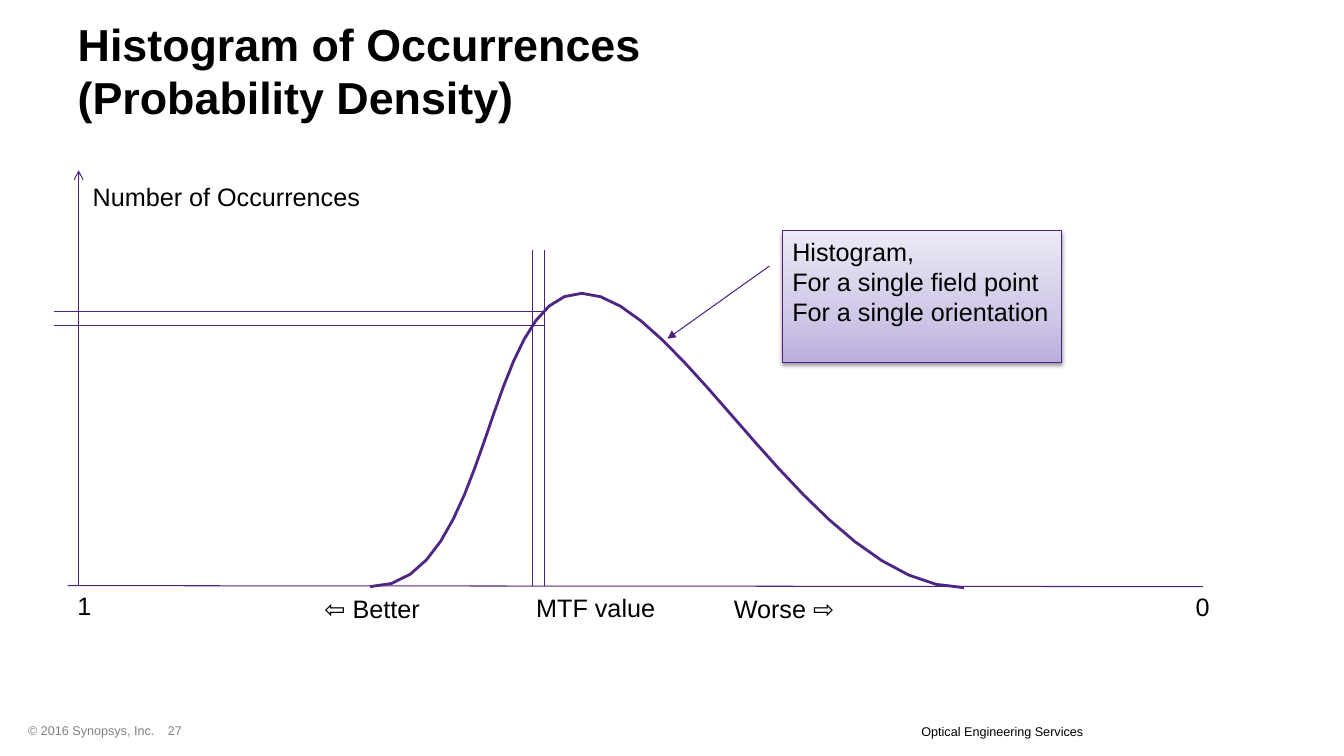
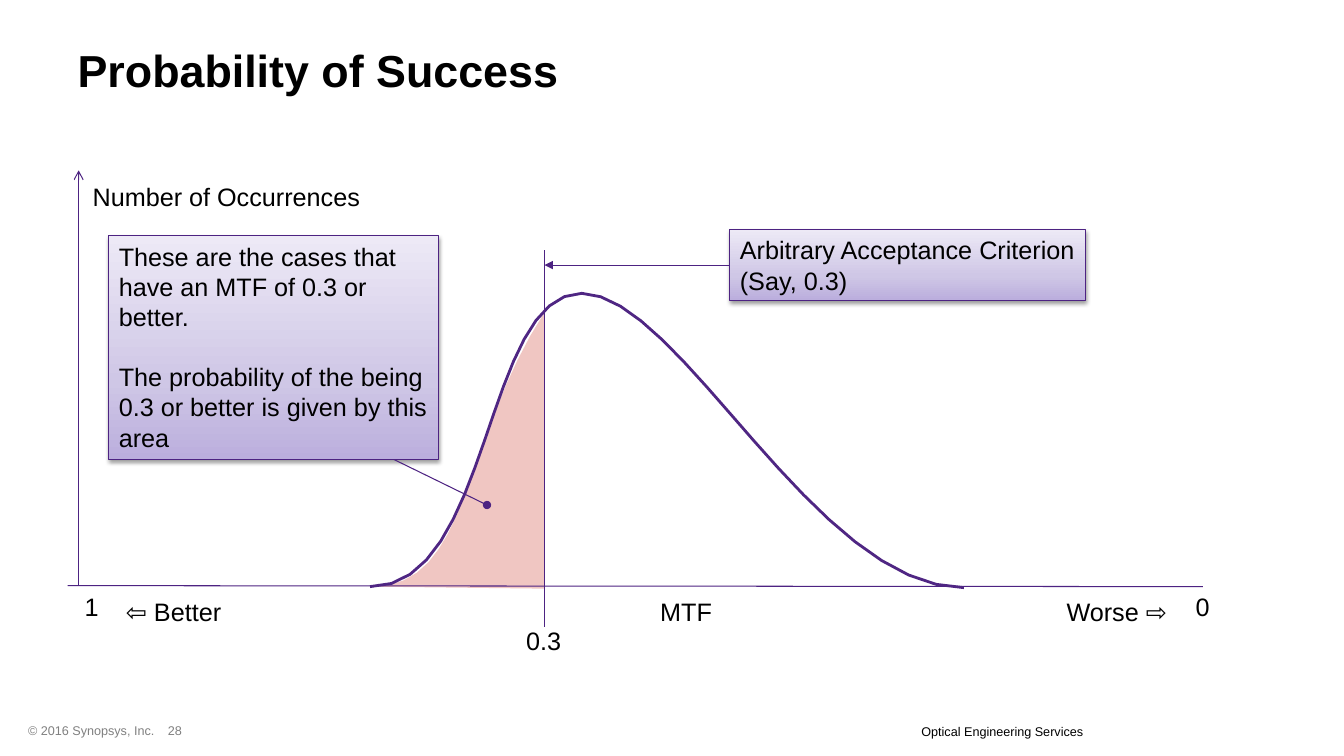
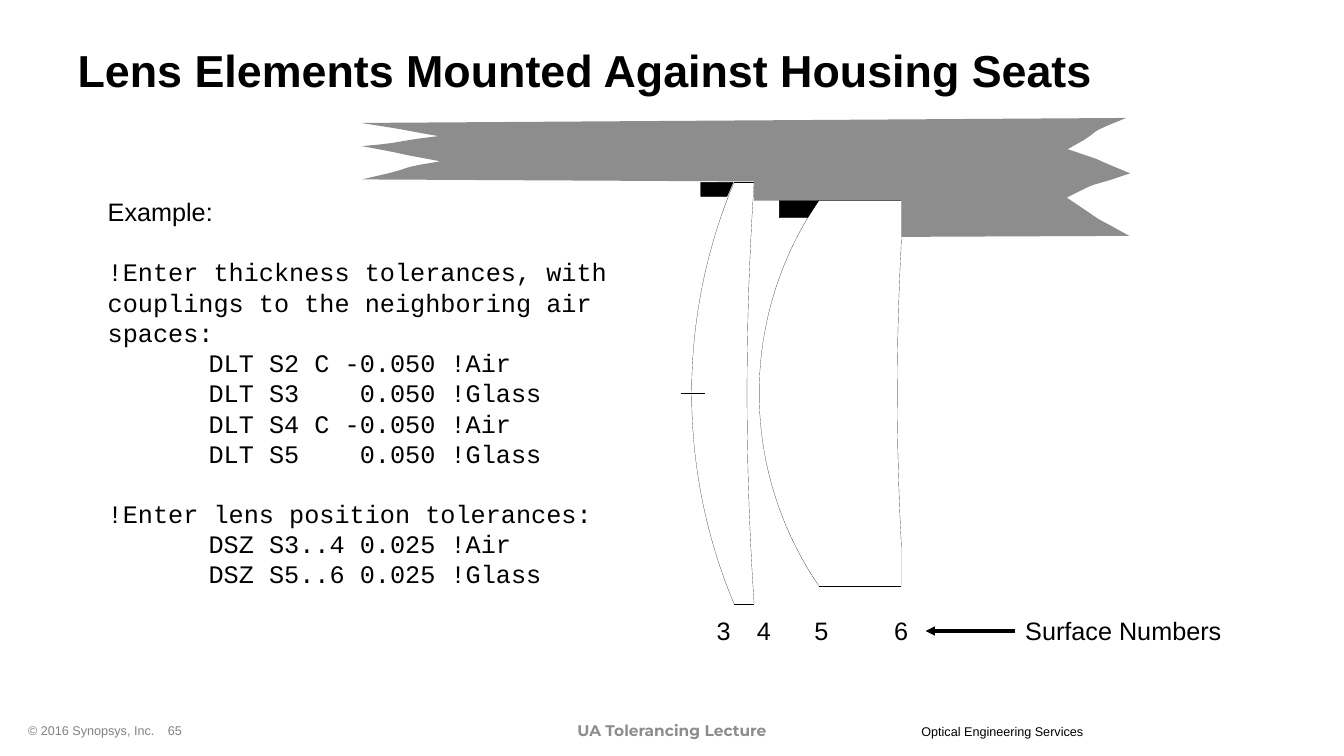
from dataclasses import dataclass
from math import sqrt

from lxml import etree
from pptx import Presentation, util as u
from pptx.dml.color import RGBColor
from pptx.enum import shapes as kinds, text as t
from pptx.oxml import parse_xml
from pptx.oxml.ns import nsdecls, qn


@dataclass(frozen=True)
class Theme:
    font: str = "Arial"
    code_font: str = "Courier New"
    lecture_font: str = "Montserrat"
    ink: str = "000000"
    footer_grey: str = "808080"
    lecture_grey: str = "8C8C8C"
    housing: str = "8D8D8D"
    axis: str = "4D2382"
    curve: str = "4F2683"
    success: str = "C41300"
    success_alpha: int = 24
    gradient: tuple = ((0, "BBAEDD"), (35, "CFC7E6"), (100, "EDE9F6"))
    title_size: float = 32
    body_size: float = 18
    lecture_size: float = 11
    footer_size: float = 9
    blank_line: float = 21.4
    thin: float = 0.75
    hairline: float = 0.1


THEME = Theme()


@dataclass(frozen=True)
class Box:
    left: float
    top: float
    width: float
    height: float

    def inside(self, x, y, width, height):
        return Box(self.left + x, self.top + y, width, height)

    def point(self, x, y):
        return u.Inches(self.left + x), u.Inches(self.top + y)

    def emu(self):
        return [u.Inches(v) for v in (self.left, self.top, self.width, self.height)]


PLOT = Box(0.67, 1.69, 11.26, 4.12)
ASSEMBLY = Box(3.58, 1.17, 8.77, 5.28)
CODE = Box(0.97, 1.9, 5.62, 4.04)

# Outlines: a pair is a straight step, six numbers are a Bezier step
HISTOGRAM = [(3, 4.13), (4.21, 4.14, 4.12, 1.22, 5.1, 1.22),
             (6.08, 1.23, 7.41, 4.14, 8.89, 4.14)]
SUCCESS_AREA = [(3.01, 4.13), (4, 4.14, 3.9, 2.68, 4.73, 1.41), (4.73, 4.15)]
HOUSING = [
    (5.36, 0.82), (5.36, 1.18), (7.62, 1.17),
    (7.14, 0.9, 7.51, 1.13, 7, 0.79), (7.4, 0.59, 7.14, 0.72, 7.63, 0.55),
    (7.09, 0.33, 7.51, 0.48, 7.01, 0.31), (7.44, 0.08, 7.09, 0.2, 7.59, 0),
    (0, 0.05), (0.59, 0.14, 0.3, 0.1, 0.77, 0.18),
    (0.27, 0.24, 0.47, 0.24, 0.01, 0.28), (0.61, 0.39, 0.18, 0.32, 0.79, 0.43),
    (0.24, 0.52, 0.69, 0.46, 0.01, 0.61), (3.9, 0.63), (3.9, 0.82)]
SEATS = [[(4.15, 0.82), (4.54, 0.82), (4.43, 0.99), (4.15, 0.99)],
         [(3.37, 0.64), (3.69, 0.64), (3.63, 0.78), (3.37, 0.78)]]


# Shared drawing helpers
def style(paragraph, size=THEME.body_size, color=THEME.ink, font=THEME.font, bold=False):
    for run in paragraph.runs:
        run.font.size, run.font.name, run.font.bold = u.Pt(size), font, bold
        run.font.color.rgb = RGBColor.from_string(color)


def label(slide, box, words, align=t.PP_ALIGN.LEFT, **look):
    shape = slide.shapes.add_textbox(*box.emu())
    shape.text_frame.word_wrap = True
    shape.text_frame.text = words
    paragraph = shape.text_frame.paragraphs[0]
    paragraph.alignment = align
    style(paragraph, **look)
    return shape


def labels(slide, box, entries):
    for words, x, y in entries:
        label(slide, box.inside(x, y, 1.5, 0.4), words)


def line(slide, box, start, end, color=THEME.axis, width=THEME.thin, arrow=None):
    connector = slide.shapes.add_connector(
        kinds.MSO_CONNECTOR.STRAIGHT, *box.point(*start), *box.point(*end))
    connector.line.color.rgb = RGBColor.from_string(color)
    connector.line.width = u.Pt(width)
    properties = connector.element.spPr
    if arrow:
        etree.SubElement(properties.find(qn("a:ln")), qn("a:tailEnd"), type=arrow)
    etree.SubElement(properties, qn("a:effectLst"))


def flatten(outline, steps):
    points = [outline[0]]
    for step in outline[1:]:
        if len(step) == 2:
            points.append(step)
            continue
        controls = (points[-1], step[:2], step[2:4], step[4:])
        for i in range(1, steps + 1):
            s = i / steps
            weights = ((1 - s) ** 3, 3 * s * (1 - s) ** 2, 3 * s * s * (1 - s), s ** 3)
            points.append(tuple(sum(w * c[axis] for w, c in zip(weights, controls))
                                for axis in (0, 1)))
    return points


def free(slide, box, outline, fill=None, alpha=None, color=None, width=THEME.hairline,
         close=True, steps=16):
    points = [box.point(*point) for point in flatten(outline, steps)]
    builder = slide.shapes.build_freeform(*points[0])
    builder.add_line_segments(points[1:], close=close)
    shape = builder.convert_to_shape()
    shape.shadow.inherit = False
    if fill:
        shape.fill.solid()
        shape.fill.fore_color.rgb = RGBColor.from_string(fill)
    else:
        shape.fill.background()
    if alpha:
        tint = shape.element.spPr.find(qn("a:solidFill")).find(qn("a:srgbClr"))
        etree.SubElement(tint, qn("a:alpha"), val=str(alpha * 1000))
    if color:
        shape.line.color.rgb = RGBColor.from_string(color)
        shape.line.width = u.Pt(width)
    else:
        shape.line.fill.background()


def callout(slide, box, paragraphs, gap=0):
    shape = slide.shapes.add_shape(kinds.MSO_SHAPE.RECTANGLE, *box.emu())
    shape.line.color.rgb = RGBColor.from_string(THEME.axis)
    shape.line.width = u.Pt(THEME.thin)
    properties = shape.element.spPr
    # Three-stop gradient, dark at the foot, and a soft shadow
    stops = "".join(f'<a:gs pos="{at * 1000}"><a:srgbClr val="{color}"/></a:gs>'
                    for at, color in THEME.gradient)
    gradient = parse_xml(f'<a:gradFill {nsdecls("a")}><a:gsLst>{stops}</a:gsLst>'
                         '<a:lin ang="16200000" scaled="0"/></a:gradFill>')
    properties.find(qn("a:ln")).addprevious(gradient)
    properties.append(parse_xml(
        f'<a:effectLst {nsdecls("a")}><a:outerShdw blurRad="{u.Pt(3.1)}" '
        f'dist="{u.Pt(1.6)}" dir="5400000" rotWithShape="0"><a:srgbClr val="{THEME.ink}">'
        '<a:alpha val="38000"/></a:srgbClr></a:outerShdw></a:effectLst>'))
    frame = shape.text_frame
    frame.word_wrap = True
    frame.vertical_anchor = t.MSO_ANCHOR.TOP
    frame.text = "\n".join(paragraphs)
    for i, paragraph in enumerate(frame.paragraphs):
        paragraph.alignment = t.PP_ALIGN.LEFT
        paragraph.space_before = u.Pt(gap if i else 0)
        style(paragraph)


# Parts every slide has
def prepare_layout(presentation):
    layout = presentation.slide_layouts[5]
    title = layout.placeholders[0]
    title.left, title.top, title.width, title.height = Box(0.67, 0.07, 12.66, 1.25).emu()
    return layout


def new_slide(presentation, layout, title, number):
    slide = presentation.slides.add_slide(layout)
    frame = slide.shapes.title.text_frame
    frame.text = title
    frame.auto_size = t.MSO_AUTO_SIZE.NONE
    frame.vertical_anchor = t.MSO_ANCHOR.MIDDLE
    paragraph = frame.paragraphs[0]
    paragraph.alignment = t.PP_ALIGN.LEFT
    style(paragraph, THEME.title_size, bold=True)
    footer(slide, Box(0.18, 7.12, 10.79, 0.25), number)
    return slide


def footer(slide, box, number):
    grey = dict(size=THEME.footer_size, color=THEME.footer_grey)
    label(slide, box.inside(0, 0, 4.11, 0.25), "© 2016 Synopsys, Inc.", **grey)
    label(slide, box.inside(1.09, 0, 0.93, 0.25), str(number), t.PP_ALIGN.CENTER, **grey)
    label(slide, box.inside(8.86, 0.01, 1.93, 0.25), "Optical Engineering Services",
          size=THEME.footer_size)


# Histogram slides
def histogram(slide, box):
    line(slide, box, (0, box.height), (box.width, box.height + 0.01))
    line(slide, box, (0.11, box.height), (0.11, 0), arrow="arrow")
    free(slide, box, HISTOGRAM, color=THEME.curve, width=2, close=False)
    label(slide, box.inside(0.15, 0.06, 2.88, 0.4), "Number of Occurrences")
    labels(slide, box, [("0", 11.09, 4.13)])


def density(slide, box):
    histogram(slide, box)
    for x in (4.61, 4.73):
        line(slide, box, (x, box.height), (x, 0.79))
    for y in (1.54, 1.4):
        line(slide, box, (-0.13, y), (4.73, y))
    callout(slide, box.inside(7.09, 0.6, 2.77, 1.31),
            ["Histogram,", "For a single field point", "For a single orientation"])
    line(slide, box, (6.96, 0.95), (5.95, 1.67), arrow="triangle")
    labels(slide, box, [("1", 0, 4.12), ("⇦ Better", 2.45, 4.15),
                        ("MTF value", 4.55, 4.14), ("Worse ⇨", 6.51, 4.15)])


def success(slide, box):
    free(slide, box, SUCCESS_AREA, fill=THEME.success, alpha=THEME.success_alpha)
    histogram(slide, box)
    # Area explained
    callout(slide, box.inside(0.41, 0.65, 3.27, 2.22),
            ["These are the cases that have an MTF of 0.3 or better.",
             "The probability of the being 0.3 or better is given by this area"],
            gap=THEME.blank_line)
    line(slide, box, (3.24, 2.87), (4.16, 3.32), arrow="oval")
    # Acceptance criterion
    line(slide, box, (4.73, 4.53), (4.73, 0.79))
    callout(slide, box.inside(6.57, 0.59, 3.53, 0.7),
            ["Arbitrary Acceptance Criterion", "(Say, 0.3)"])
    line(slide, box, (6.57, 0.94), (4.73, 0.94), arrow="triangle")
    labels(slide, box, [("1", 0.07, 4.13), ("⇦ Better", 0.48, 4.18), ("MTF", 5.78, 4.18),
                        ("Worse ⇨", 9.81, 4.18), ("0.3", 4.45, 4.46)])


# Lens slide
def surface(vertex, edge, half, curved, axis_y, steps=40):
    """Circular arc from vertex to edge, flat beyond the curved half-height."""
    sag = edge - vertex
    radius = (curved ** 2 + sag ** 2) / (2 * sag)
    points = []
    for i in range(steps + 1):
        y = half * (2 * i / steps - 1)
        height = min(abs(y), curved)
        points.append((vertex + radius - sqrt(radius ** 2 - height ** 2), axis_y + y))
    return points


def lens(slide, box, front, back, half, back_curved, axis_y):
    for outline in (surface(*front, half, half, axis_y),
                    surface(*back, half, back_curved, axis_y)):
        free(slide, box, outline, color=THEME.ink, close=False)
    for y in (axis_y - half, axis_y + half):
        line(slide, box, (front[1], y), (back[1], y), THEME.ink, THEME.hairline)


def lens_assembly(slide, box):
    axis_y = 2.73
    lens(slide, box, (3.28, 3.7), (3.83, 3.9), 2.09, 2.09, axis_y)
    lens(slide, box, (3.95, 4.54), (5.32, 5.36), 1.91, 1.5, axis_y)
    line(slide, box, (3.17, axis_y), (3.41, axis_y), THEME.ink, THEME.hairline)
    free(slide, box, HOUSING, fill=THEME.housing, steps=6)
    for seat in SEATS:
        free(slide, box, seat, fill=THEME.ink, color=THEME.ink, width=0.25)
    # Surface numbers
    labels(slide, box, [("3", 3.43, 4.89), ("4", 3.83, 4.89),
                        ("5", 4.4, 4.89), ("6", 5.19, 4.89)])
    label(slide, box.inside(6.49, 4.89, 2.28, 0.4), "Surface Numbers")
    line(slide, box, (6.49, 5.09), (5.6, 5.09), THEME.ink, 2.25, "triangle")


def tolerance_code(slide, box):
    comments = ["!Enter thickness tolerances, with couplings to the neighboring air spaces:",
                "!Enter lens position tolerances:"]
    commands = [["DLT S2 C -0.050 !Air", "DLT S3    0.050 !Glass",
                 "DLT S4 C -0.050 !Air", "DLT S5    0.050 !Glass"],
                ["DSZ S3..4 0.025 !Air", "DSZ S5..6 0.025 !Glass"]]
    frame = label(slide, box, "Example:").text_frame
    for comment, block in zip(comments, commands):
        for i, words in enumerate([comment] + block):
            paragraph = frame.add_paragraph()
            paragraph.text = words
            style(paragraph, font=THEME.code_font)
            if i:
                paragraph._p.get_or_add_pPr().set("marL", str(u.Inches(1)))
            else:
                paragraph.space_before = u.Pt(THEME.blank_line)


def lecture_footer(slide, box):
    shape = label(slide, box, "UA Tolerancing Lecture", t.PP_ALIGN.CENTER,
                  size=THEME.lecture_size, color=THEME.lecture_grey,
                  font=THEME.lecture_font, bold=True)
    shape.text_frame.vertical_anchor = t.MSO_ANCHOR.MIDDLE


def main():
    presentation = Presentation()
    presentation.slide_width, presentation.slide_height = u.Inches(13.33), u.Inches(7.5)
    layout = prepare_layout(presentation)

    density(new_slide(presentation, layout,
                      "Histogram of Occurrences\v(Probability Density)", 27), PLOT)
    success(new_slide(presentation, layout, "Probability of Success", 28), PLOT)

    slide = new_slide(presentation, layout, "Lens Elements Mounted Against Housing Seats", 65)
    tolerance_code(slide, CODE)
    lens_assembly(slide, ASSEMBLY)
    lecture_footer(slide, Box(4.49, 7.05, 4.35, 0.4))

    presentation.save("out.pptx")


if __name__ == "__main__":
    main()
